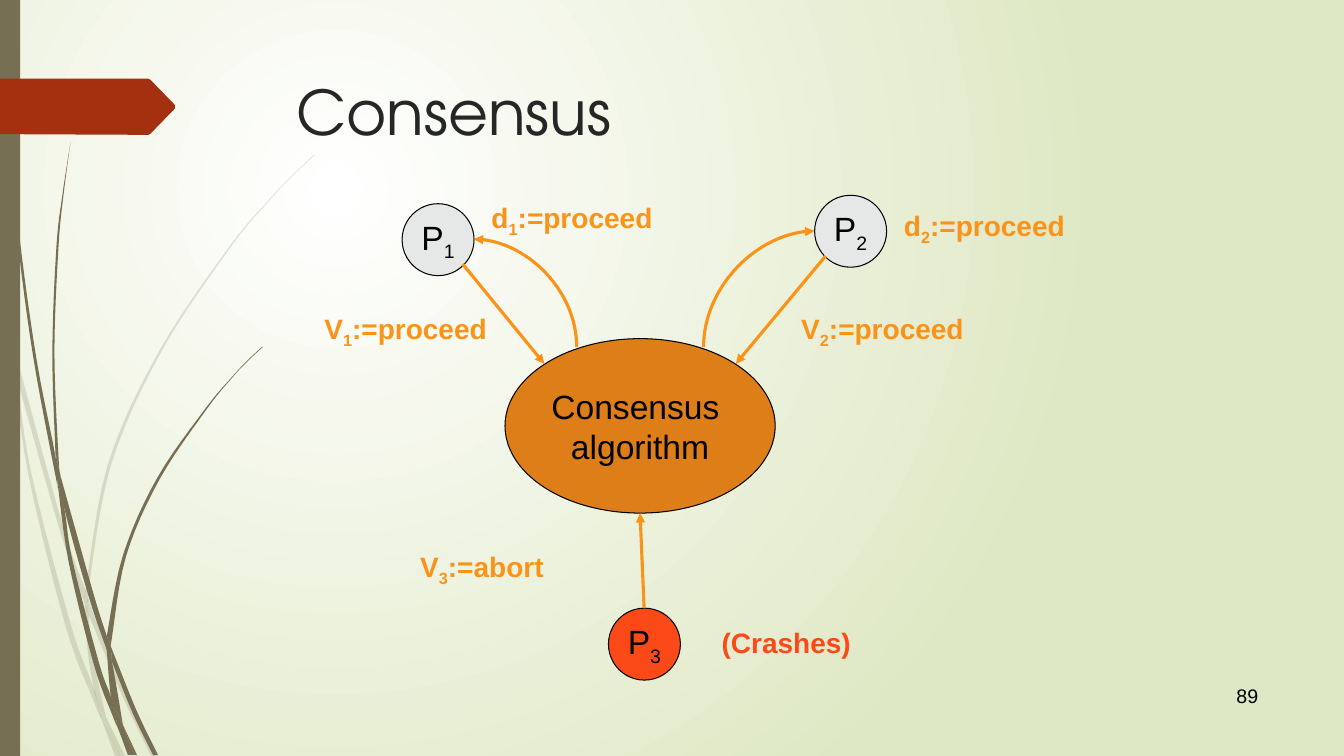
from dataclasses import dataclass

import pptx
import pptx.dml.color
import pptx.enum.dml
import pptx.enum.shapes
import pptx.enum.text
import pptx.oxml
import pptx.oxml.ns
import pptx.util
from pptx.shapes.base import BaseShape
from pptx.text.text import TextFrame

Pt = pptx.util.Pt
MSO_SHAPE = pptx.enum.shapes.MSO_SHAPE
MSO_CONNECTOR = pptx.enum.shapes.MSO_CONNECTOR
PP_ALIGN = pptx.enum.text.PP_ALIGN
MSO_ANCHOR = pptx.enum.text.MSO_ANCHOR
qn = pptx.oxml.ns.qn
Point = tuple[float, float]
Edge = list[Point]

OLIVE, RUST = "766F54", "A53010"
ORANGE, AMBER, GREY, RED = "FB9318", "DE7E18", "E6E8E8", "FB4A18"
BLACK, INK = "000000", "262626"
NODE_SIZE = 51.4


@dataclass
class Style:
    size: float
    color: str
    bold: bool = False
    font: str = "Arial"


@dataclass
class Node:
    """An ellipse; an underscore in its text puts the next character below."""
    x: float
    y: float
    w: float
    h: float
    fill: str
    lines: list[str]


@dataclass
class Label:
    x: float
    y: float
    w: float
    text: str
    color: str = ORANGE


@dataclass
class Arrow:
    begin: Point
    end: Point
    head: str = "tailEnd"
    curved: bool = False


# Each piece of a stalk is bounded by smooth edges, in drawing order.
PALE_STALKS: list[list[Edge]] = [
    [[(7.9, 252), (6.5, 231.8), (0, 203)], [(0, 215.3), (7.2, 247.7), (7.9, 252)]],
    [[(10.1, 248.4), (44.6, 374.4), (61.2, 421.9)],
     [(60.5, 431.3), (41.8, 375.8), (12.2, 270.7)]],
    [[(63.4, 429.1), (66.2, 437), (91.4, 498.2), (111.6, 540)],
     [(108, 540), (88.6, 499.7), (63.4, 439.2)]],
    [[(75.6, 511.9), (89.3, 540)], [(85.7, 540), (75.6, 511.9)]],
    [[(7.9, 252), (12.2, 270.7), (22.3, 337.7), (50.4, 445.7), (67, 491.8), (71.3, 509),
      (72.7, 514.1)],
     [(72.7, 514.1), (66.2, 499), (46.8, 447.1), (20.2, 338.4), (7.9, 252)]],
    [[(60.5, 431.3), (62.6, 465.1), (67, 491.8), (69.1, 498.2), (75.6, 511.9)],
     [(75.6, 511.9), (65.5, 465.1), (63.4, 439.2), (60.5, 431.3)]],
    [[(61.2, 421.9), (61.2, 420.5), (77, 331.9), (113.8, 250.6), (164.2, 175.7),
      (193, 141.8), (208.1, 126), (224.6, 110.2)],
     [(224.6, 110.9), (208.8, 126), (193, 142.6), (164.9, 176.4), (115.2, 251.3),
      (79.2, 332.6), (63.4, 420.5), (63.4, 429.1)]],
    [[(72.7, 514.1), (82.1, 540)], [(85.7, 540), (72.7, 514.1)]],
    [[(63.4, 439.2), (63.4, 429.1)], [(61.2, 421.9), (60.5, 431.3)]],
    [[(69.1, 498.2), (67, 491.8)], [(71.3, 509), (72.7, 514.1), (85.7, 540)],
     [(85.7, 540), (75.6, 511.9)]],
]
DARK_STALKS: list[list[Edge]] = [
    [[(2.2, 0), (2.9, 34.6), (5, 79.2), (12.2, 167.8), (23.8, 255.6), (40.3, 343.4),
      (41, 346.3)],
     [(41, 346.3), (39.6, 326.2), (25.9, 255.6), (13.7, 167), (5.8, 78.5), (3.6, 34.6),
      (2.9, 0)]],
    [[(43.2, 339.8), (67, 424.8), (76.3, 454.3)],
     [(76.3, 464.4), (63.4, 426.2), (46.1, 363.6), (43.2, 339.8)]],
    [[(79.2, 461.5), (81.4, 467.3), (97.9, 508.3), (113, 539.3)],
     [(109.4, 539.3), (95, 509.8), (79.9, 472.3)]],
    [[(41, 343.4), (46.1, 363.6), (51.8, 400.3), (70.6, 473), (79.2, 497.5), (83.5, 516.2),
      (84.2, 519.8)],
     [(84.2, 519.8), (79.9, 509.8), (67, 474.5), (49, 401), (41, 343.4)]],
    [[(39.6, 323.3), (37.4, 251.3), (40.3, 176.4), (44.6, 139), (50.4, 101.5)],
     [(50.4, 101.5), (45.4, 139), (41.8, 176.4), (38.9, 251.3), (41.8, 326.2),
      (43.2, 339.8)]],
    [[(87.8, 517.7), (97.9, 539.3)], [(95.8, 539.3), (87.8, 517.7)]],
    [[(41, 343.4), (46.1, 363.6)], [(43.2, 339.8), (39.6, 323.3)]],
    [[(76.3, 454.3), (87.8, 396.7), (112.3, 341.3), (146.9, 291.6), (166.3, 268.6),
      (176.4, 257.8), (187.2, 247.7)],
     [(187.9, 247.7), (176.4, 258.5), (166.3, 269.3), (147.6, 292.3), (113.8, 342.7),
      (90, 397.4), (79.9, 455.8), (79.2, 461.5)]],
    [[(84.2, 519.8), (91.4, 539.3)], [(94.3, 539.3), (84.2, 519.8)]],
    [[(76.3, 464.4), (79.2, 497.5), (83.5, 508.3), (87.8, 517.7)],
     [(87.8, 517.7), (79.9, 472.3), (76.3, 464.4)]],
    [[(76.3, 464.4), (79.9, 472.3)], [(79.2, 461.5), (76.3, 454.3)]],
    [[(83.5, 508.3), (79.2, 497.5)], [(83.5, 516.2), (84.2, 519.8), (93.6, 539.3)],
     [(95.8, 539.3), (87.8, 517.7)]],
]
FLAG: Edge = [(0, 56.2), (106, 56.2), (107.5, 57), (125, 75), (125, 77.5), (107.5, 95.5),
              (106, 96.3), (0, 95.8)]

NODES = [
    Node(360.7, 241.9, 193, 124.6, AMBER, ["Consensus ", "algorithm"]),
    Node(287.2, 145.5, NODE_SIZE, NODE_SIZE, GREY, ["P_1"]),
    Node(434.6, 434.4, NODE_SIZE, NODE_SIZE, RED, ["P_3"]),
    Node(581.9, 139.5, NODE_SIZE, NODE_SIZE, GREY, ["P_2"]),
]
ARROWS = [
    Arrow((330.5, 188.6), (388.8, 259.9)),
    Arrow((460.1, 434.2), (457.2, 366.5)),
    Arrow((589.7, 182.9), (525.6, 259.9)),
    Arrow((338.4, 170.8), (411.9, 247.8), "headEnd", True),
    Arrow((581.8, 165), (502.6, 247.8), "headEnd", True),
]
LABELS = [
    Label(344, 139.7, 131.8, "d_1:=proceed"),
    Label(638.6, 145.4, 131.8, "d_2:=proceed"),
    Label(224.6, 218.9, 132.5, "V_1:=proceed"),
    Label(565.2, 218.9, 132.5, "V_2:=proceed"),
    Label(293, 388.8, 104.4, "V_3:=abort"),
    Label(508.3, 443.5, 106.6, "(Crashes)", RED),
]


def rgb(color: str) -> pptx.dml.color.RGBColor:
    return pptx.dml.color.RGBColor.from_string(color)


def paint(sp: BaseShape, fill: str, line: str | None = None) -> None:
    sp.shadow.inherit = False
    sp.fill.solid()
    sp.fill.fore_color.rgb = rgb(fill)
    if line:
        sp.line.color.rgb = rgb(line)
        sp.line.width = Pt(0.75)
    else:
        sp.line.fill.background()


def smooth(edge: Edge, steps: int = 6) -> Edge:
    """Sample a Catmull-Rom curve through the points of an edge."""
    if len(edge) == 2:
        return edge
    padded = [edge[0], *edge, edge[-1]]
    curve = []
    for a, b, c, d in zip(padded, padded[1:], padded[2:], padded[3:]):
        for t in (i / steps for i in range(steps)):
            curve.append(tuple(
                q + t * (r - p + t * (2 * p - 5 * q + 4 * r - s + t * (3 * q - p - 3 * r + s))) / 2
                for p, q, r, s in zip(a, b, c, d)))
    return curve + [edge[-1]]


def add_outline(shapes, points: Edge, fill: str, alpha: int = 100) -> None:
    corners = [(Pt(x), Pt(y)) for x, y in points]
    builder = shapes.build_freeform(*corners[0])
    builder.add_line_segments(corners[1:])
    sp = builder.convert_to_shape()
    paint(sp, fill)
    if alpha < 100:
        clr = sp._element.spPr.find(qn("a:solidFill"))[0]
        clr.append(pptx.oxml.parse_xml(
            f'<a:alpha {pptx.oxml.ns.nsdecls("a")} val="{alpha * 1000}"/>'))


def write(tf: TextFrame, lines: list[str], style: Style, align=PP_ALIGN.LEFT) -> None:
    for i, line in enumerate(lines):
        p = tf.paragraphs[0] if i == 0 else tf.add_paragraph()
        p.alignment = align
        base, _, rest = line.partition("_")
        for text, lowered in ((base, False), (rest[:1], True), (rest[1:], False)):
            if not text:
                continue
            r = p.add_run()
            r.text = text
            r.font.size, r.font.bold, r.font.name = Pt(style.size), style.bold, style.font
            r.font.color.rgb = rgb(style.color)
            if lowered:
                r._r.get_or_add_rPr().set("baseline", "-25000")


def add_text(shapes, x: float, y: float, w: float, h: float, text: str, style: Style,
             align=PP_ALIGN.LEFT, anchor=MSO_ANCHOR.TOP, wrap: bool = True) -> None:
    tf = shapes.add_textbox(Pt(x), Pt(y), Pt(w), Pt(h)).text_frame
    tf.word_wrap, tf.vertical_anchor = wrap, anchor
    write(tf, [text], style, align)


def add_node(shapes, node: Node) -> None:
    sp = shapes.add_shape(MSO_SHAPE.OVAL, Pt(node.x), Pt(node.y), Pt(node.w), Pt(node.h))
    paint(sp, node.fill, BLACK)
    tf = sp.text_frame
    tf.word_wrap, tf.vertical_anchor = False, MSO_ANCHOR.MIDDLE
    write(tf, node.lines, Style(24, BLACK), PP_ALIGN.CENTER)


def add_arrow(shapes, arrow: Arrow) -> None:
    kind = MSO_CONNECTOR.CURVE if arrow.curved else MSO_CONNECTOR.STRAIGHT
    cxn = shapes.add_connector(kind, *(Pt(v) for v in arrow.begin + arrow.end))
    cxn.line.color.rgb, cxn.line.width = rgb(ORANGE), Pt(2.25)
    sp_pr = cxn._element.spPr
    if arrow.curved:
        sp_pr.find(qn("a:prstGeom")).set("prst", "curvedConnector2")
    ns = pptx.oxml.ns.nsdecls("a")
    cxn.line._ln.append(pptx.oxml.parse_xml(f'<a:{arrow.head} {ns} type="triangle"/>'))
    sp_pr.append(pptx.oxml.parse_xml(f"<a:effectLst {ns}/>"))


def set_background(s) -> None:
    fill = s.background.fill
    fill.gradient()
    for stop, color in zip(fill.gradient_stops, ("FFFFFF", "DFE8C4")):
        stop.color.rgb = rgb(color)
    lin = s._element.find(".//" + qn("a:lin"))
    lin.getparent().replace(lin, pptx.oxml.parse_xml(
        f'<a:path {pptx.oxml.ns.nsdecls("a")} path="circle">'
        '<a:fillToRect l="50000" t="50000" r="100000" b="100000"/></a:path>'))


def main() -> None:
    prs = pptx.Presentation()
    prs.slide_width, prs.slide_height = Pt(960), Pt(540)
    s = prs.slides.add_slide(prs.slide_layouts[6])
    set_background(s)
    for stalks, alpha in ((PALE_STALKS, 20), (DARK_STALKS, 100)):
        for edges in stalks:
            add_outline(s.shapes, [pt for edge in edges for pt in smooth(edge)], OLIVE, alpha)
    band = s.shapes.add_shape(MSO_SHAPE.RECTANGLE, Pt(0), Pt(0), Pt(14.4), Pt(540))
    paint(band, OLIVE)
    add_outline(s.shapes, FLAG, RUST)
    add_text(s.shapes, 815.8, 482.4, 90, 29.5, "89", Style(14, BLACK),
             PP_ALIGN.RIGHT, MSO_ANCHOR.MIDDLE)
    add_text(s.shapes, 204.5, 49, 702, 100.8, "Consensus",
             Style(44, INK, font="TeX Gyre Adventor"))
    for node in NODES:
        add_node(s.shapes, node)
    for arrow in ARROWS:
        add_arrow(s.shapes, arrow)
    for label in LABELS:
        add_text(s.shapes, label.x, label.y, label.w, 31.5, label.text,
                 Style(20, label.color, bold=True), wrap=False)
    prs.save("out.pptx")


if __name__ == "__main__":
    main()
